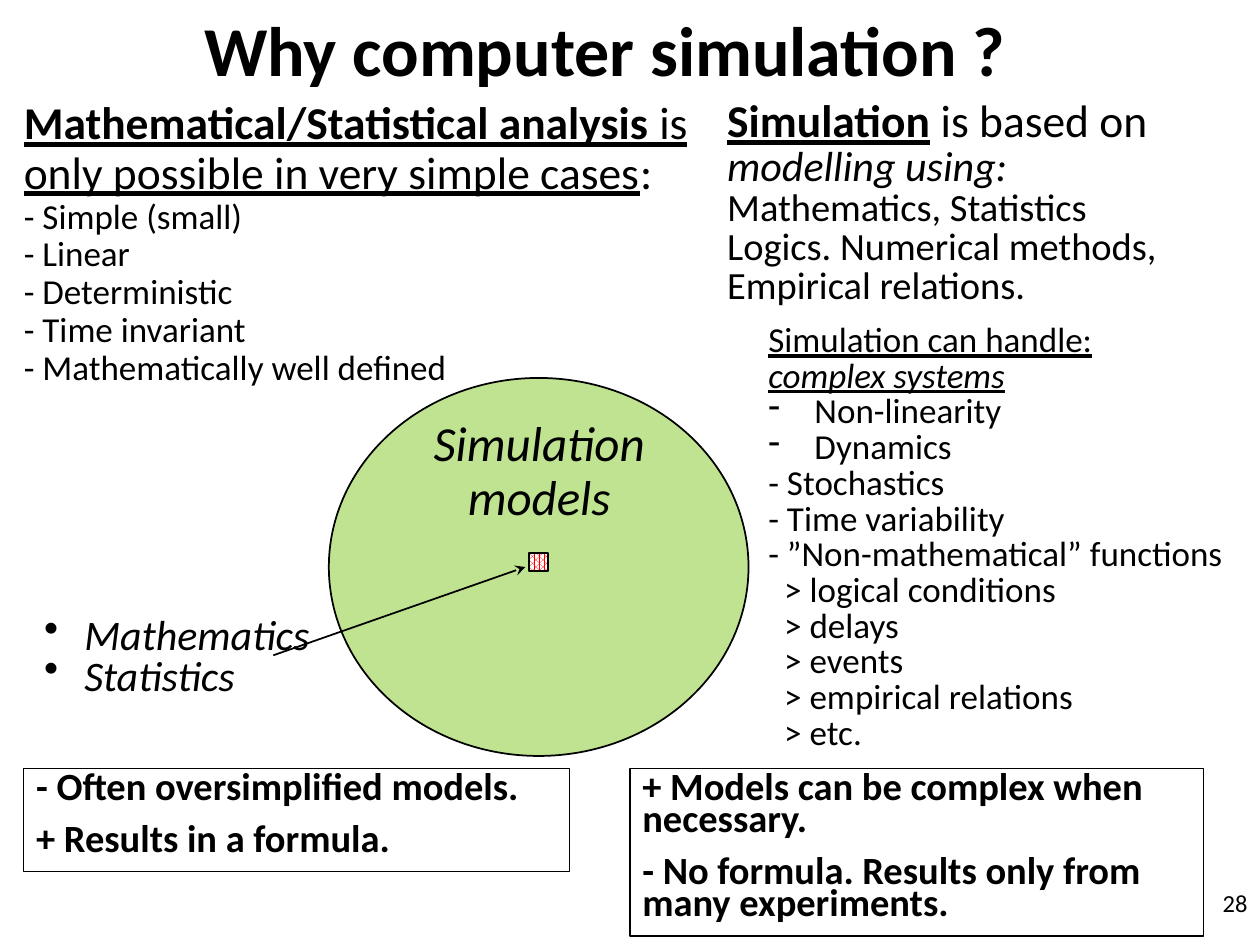
import pptx
import pptx.util
import pptx.oxml.ns
import lxml.etree
from pptx.util import Cm, Pt
from pptx.dml.color import RGBColor
from pptx.enum.dml import MSO_PATTERN
from pptx.enum.shapes import MSO_CONNECTOR, MSO_SHAPE
from pptx.enum.text import MSO_ANCHOR, PP_ALIGN

BLACK = RGBColor(0x00, 0x00, 0x00)
WHITE = RGBColor(0xFF, 0xFF, 0xFF)
GREEN = RGBColor(0xC0, 0xE3, 0x91)
RED = RGBColor(0xFF, 0x00, 0x00)

deck = pptx.Presentation()
deck.slide_width, deck.slide_height = Cm(25.4), Cm(19.05)
slide = deck.slides.add_slide(deck.slide_layouts[6])


def shape(kind, left, top, width, height, line=1):
    item = slide.shapes.add_shape(kind, Cm(left), Cm(top), Cm(width), Cm(height))
    item.shadow.inherit = False
    item.line.color.rgb = BLACK
    item.line.width = Pt(line)
    return item


def write(item, lines, size=20, style="", align=PP_ALIGN.LEFT, space=1.0,
          gap=0, side=0.25, anchor=MSO_ANCHOR.TOP):
    """Fill item with lines: each a text, or a dict with runs of (text, style),
    size, bullet, hang and indent. Style letters are b, i and u."""
    frame = item.text_frame
    frame.word_wrap = True
    frame.vertical_anchor = anchor
    frame.margin_left = frame.margin_right = Cm(side)
    frame.margin_top = frame.margin_bottom = Cm(0.13)
    for n, line in enumerate(lines):
        if isinstance(line, str):
            line = {"runs": [(line, style)]}
        para = frame.paragraphs[0] if n == 0 else frame.add_paragraph()
        para.alignment = align
        para.line_spacing = space
        para.space_before = Pt(gap)
        props = para._p.get_or_add_pPr()
        hang = line.get("hang", 0)
        props.set("marL", str(Cm(line.get("indent", hang))))
        props.set("indent", str(-Cm(hang)))
        if "bullet" in line:
            mark = lxml.etree.SubElement(props, pptx.oxml.ns.qn("a:buChar"))
            mark.set("char", line["bullet"])
        for text, marks in line["runs"]:
            run = para.add_run()
            run.text = text
            font = run.font
            font.name = "Calibri"
            font.size = Pt(line.get("size", size))
            font.color.rgb = BLACK
            font.bold = "b" in marks
            font.italic = "i" in marks
            font.underline = "u" in marks


# Boxes with the verdict on each method
verdicts = [
    ((12.7, 15.49, 11.56, 3.38),
     ["+ Models can be complex when necessary.",
      "- No formula. Results only from many experiments."]),
    ((0.48, 15.49, 11, 2.08),
     ["- Often oversimplified models.", "+ Results in a formula."]),
]
for place, lines in verdicts:
    box = shape(MSO_SHAPE.RECTANGLE, *place, line=0.75)
    box.fill.solid()
    box.fill.fore_color.rgb = WHITE
    write(box, lines, size=22, style="b", space=0.7, gap=11)

# All models, with the few that mathematics can solve
models = shape(MSO_SHAPE.OVAL, 6.63, 7.62, 8.46, 7.62)
models.fill.solid()
models.fill.fore_color.rgb = GREEN
solved = shape(MSO_SHAPE.RECTANGLE, 10.67, 11.15, 0.38, 0.36)
solved.fill.patterned()
solved.fill.pattern = MSO_PATTERN.PERCENT_75
solved.fill.fore_color.rgb = RED
solved.fill.back_color.rgb = WHITE

arrow = slide.shapes.add_connector(
    MSO_CONNECTOR.STRAIGHT, Cm(5.51), Cm(13.21), Cm(10.59), Cm(11.43))
arrow.line.color.rgb = BLACK
arrow.line.width = Pt(1)
tip = lxml.etree.SubElement(arrow.line._get_or_add_ln(), pptx.oxml.ns.qn("a:tailEnd"))
tip.set("type", "stealth")
lxml.etree.SubElement(arrow._element.spPr, pptx.oxml.ns.qn("a:effectLst"))

# Plain texts: place, lines, format
texts = [
    ((0.66, 0.25, 23.06, 1.47), ["Why computer simulation ?"],
     dict(size=40, style="b", align=PP_ALIGN.CENTER, anchor=MSO_ANCHOR.MIDDLE)),
    ((23.7, 17.78, 1.7, 1.27), ["28"], dict(size=14, align=PP_ALIGN.RIGHT)),
    ((0.43, 1.9, 13.74, 6.15),
     [{"size": 26, "runs": [("Mathematical/Statistical analysis", "bu"),
                            (" is only possible in very simple cases", "u"),
                            (":", "")]},
      "- Simple (small)", "- Linear", "- Deterministic", "- Time invariant",
      "- Mathematically well defined"],
     dict(space=0.9, side=0.05)),
    ((8.33, 8.71, 5.08, 2.16), ["Simulation", "models"],
     dict(size=28, style="i", align=PP_ALIGN.CENTER, space=0.5, gap=14)),
    ((0.64, 12.34, 6.35, 1.93),
     [{"bullet": "•", "hang": 0.81, "runs": [(word, "i")]}
      for word in ("Mathematics", "Statistics")],
     dict(size=24, space=0.8)),
    ((14.61, 1.9, 10.16, 4.65),
     [{"size": 26, "runs": [("Simulation", "bu"), (" is based on", "")]},
      {"size": 24, "runs": [("modelling using:", "i")]},
      "Mathematics, Statistics", "Logics. Numerical methods,",
      "Empirical relations."],
     dict(size=22, space=0.85, side=0.05)),
    ((15.44, 6.4, 9.93, 8.97),
     [{"runs": [("Simulation can handle:", "u")]},
      {"runs": [("complex systems", "iu")]}]
     + [{"bullet": "-", "hang": 0.93, "runs": [(word, "")]}
        for word in ("Non-linearity", "Dynamics")]
     + ["- Stochastics", "- Time variability", "- ”Non-mathematical” functions"]
     + [{"indent": 0.32, "runs": [("> " + word, "")]}
        for word in ("logical conditions", "delays", "events",
                     "empirical relations", "etc.")],
     dict(space=0.85, side=0.05)),
]
for place, lines, form in texts:
    write(slide.shapes.add_textbox(*map(Cm, place)), lines, **form)

deck.save("out.pptx")
